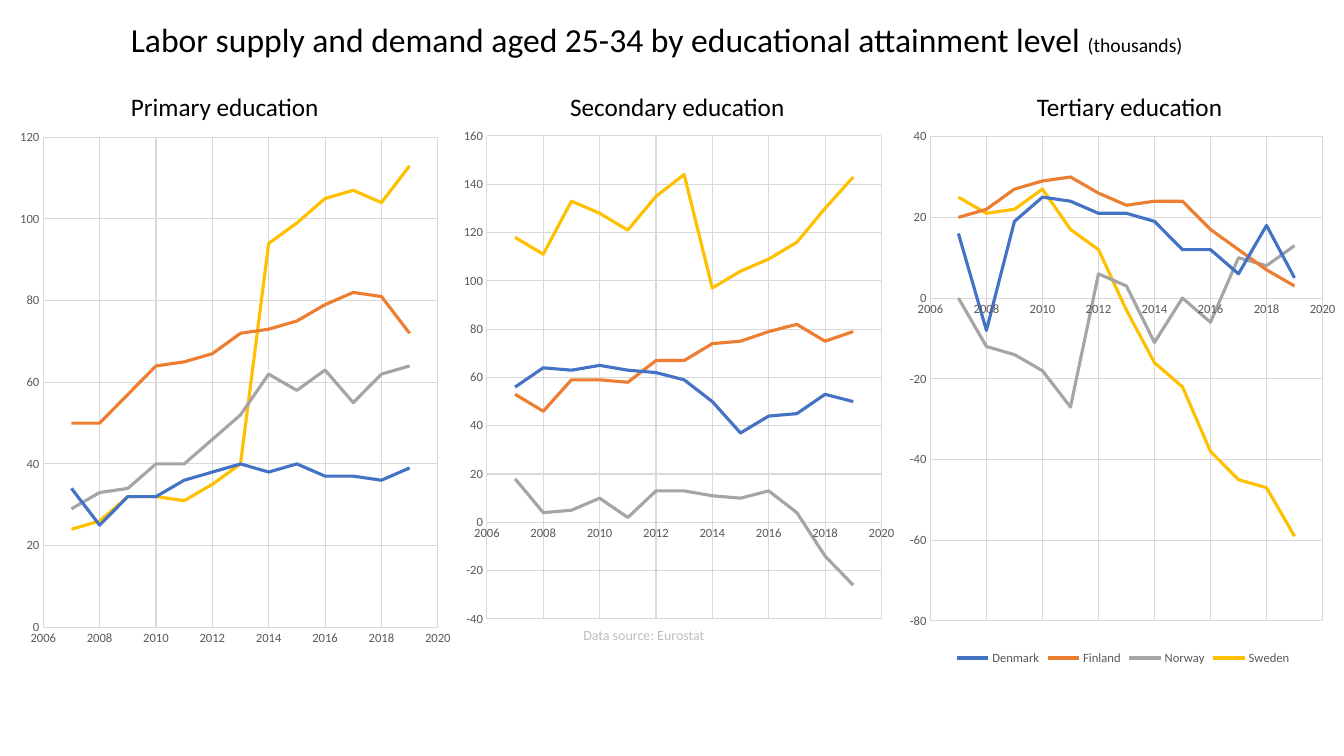
from lxml import etree
from pptx import Presentation
from pptx.chart.data import XyChartData
from pptx.dml.color import RGBColor
from pptx.enum.chart import XL_CHART_TYPE, XL_LEGEND_POSITION, XL_TICK_MARK
from pptx.oxml.ns import qn
from pptx.util import Cm, Pt

SCATTER = XL_CHART_TYPE.XY_SCATTER_SMOOTH_NO_MARKERS
BOTTOM = XL_LEGEND_POSITION.BOTTOM
NO_TICK = XL_TICK_MARK.NONE

THEME = {
    "font": "Calibri",
    "text": "000000", "axis": "595959", "grid": "D9D9D9", "source": "BFBFBF",
    "series": ["4472C4", "ED7D31", "A5A5A5", "FFC000"],
    "title": 24, "unit": 14, "heading": 18, "note": 10, "label": 9,
    "line": 2.25, "hairline": 0.75,
}

TITLE = "Labor supply and demand aged 25-34 by educational attainment level "
UNIT = "(thousands)"
SOURCE = "Data source: Eurostat"
YEARS = range(2007, 2020)
COUNTRIES = ["Denmark", "Finland", "Norway", "Sweden"]

PANELS = [
    {
        "heading": "Primary education", "heading_left": 3.05,
        "box": (0.3, 3.0, 11.3, 13.54), "plot": (0.07, 0.034, 0.88, 0.912),
        "scale": (0, 120), "legend": False,
        "values": [
            [34, 25, 32, 32, 36, 38, 40, 38, 40, 37, 37, 36, 39],
            [50, 50, 57, 64, 65, 67, 72, 73, 75, 79, 82, 81, 72],
            [29, 33, 34, 40, 40, 46, 52, 62, 58, 63, 55, 62, 64],
            [24, 26, 32, 32, 31, 35, 40, 94, 99, 105, 107, 104, 113],
        ],
    },
    {
        "heading": "Secondary education", "heading_left": 14.12,
        "box": (11.48, 2.97, 11.3, 13.06), "plot": (0.07, 0.035, 0.88, 0.932),
        "scale": (-40, 160), "legend": False,
        "values": [
            [56, 64, 63, 65, 63, 62, 59, 50, 37, 44, 45, 53, 50],
            [53, 46, 59, 59, 58, 67, 67, 74, 75, 79, 82, 75, 79],
            [18, 4, 5, 10, 2, 13, 13, 11, 10, 13, 4, -14, -26],
            [118, 111, 133, 128, 121, 135, 144, 97, 104, 109, 116, 130, 143],
        ],
    },
    {
        "heading": "Tertiary education", "heading_left": 25.88,
        "box": (22.71, 3.0, 11.18, 13.87), "plot": (0.066, 0.032, 0.884, 0.88),
        "scale": (-80, 40), "legend": True,
        "values": [
            [16, -8, 19, 25, 24, 21, 21, 19, 12, 12, 6, 18, 5],
            [20, 22, 27, 29, 30, 26, 23, 24, 24, 17, 12, 7, 3],
            [0, -12, -14, -18, -27, 6, 3, -11, 0, -6, 10, 8, 13],
            [25, 21, 22, 27, 17, 12, -3, -16, -22, -38, -45, -47, -59],
        ],
    },
]


def style_font(font, size, color):
    font.name = THEME["font"]
    font.size = Pt(THEME[size])
    font.color.rgb = RGBColor.from_string(THEME[color])


def style_line(line, color, width):
    line.color.rgb = RGBColor.from_string(color)
    line.width = Pt(width)


def add_text(s, box, runs, color="text"):
    tf = s.shapes.add_textbox(*map(Cm, box)).text_frame
    tf.word_wrap = True
    p = tf.paragraphs[0]
    for text, size in runs:
        r = p.add_run()
        r.text = text
        style_font(r.font, size, color)


def style_axis(axis, low, high, step):
    axis.minimum_scale, axis.maximum_scale, axis.major_unit = low, high, step
    axis.major_tick_mark = axis.minor_tick_mark = NO_TICK
    axis.has_major_gridlines = True
    style_line(axis.major_gridlines.format.line, THEME["grid"], THEME["hairline"])
    style_font(axis.tick_labels.font, "label", "axis")


def place_plot(chart, plot):
    area = chart.element.find(".//" + qn("c:plotArea"))
    layout = area.find(qn("c:layout"))
    if layout is None:
        layout = etree.Element(qn("c:layout"))
        area.insert(0, layout)
    manual = etree.SubElement(layout, qn("c:manualLayout"))
    settings = [("layoutTarget", "inner"), ("xMode", "edge"), ("yMode", "edge")]
    for tag, value in settings + list(zip("xywh", plot)):
        etree.SubElement(manual, qn("c:" + tag)).set("val", str(value))


def add_panel_chart(s, panel):
    data = XyChartData()
    for country, values in zip(COUNTRIES, panel["values"]):
        series = data.add_series(country)
        for year, value in zip(YEARS, values):
            series.add_data_point(year, value)
    chart = s.shapes.add_chart(SCATTER, *map(Cm, panel["box"]), data).chart
    style_font(chart.font, "note", "text")
    chart.has_title = False
    chart.has_legend = panel["legend"]
    if panel["legend"]:
        chart.legend.position = BOTTOM
        chart.legend.include_in_layout = False
        style_font(chart.legend.font, "label", "axis")
    style_axis(chart.category_axis, 2006, 2020, 2)
    style_line(chart.category_axis.format.line, THEME["grid"], THEME["hairline"])
    style_axis(chart.value_axis, *panel["scale"], 20)
    chart.value_axis.format.line.fill.background()
    for series, color in zip(chart.plots[0].series, THEME["series"]):
        style_line(series.format.line, color, THEME["line"])
        series.smooth = True
    place_plot(chart, panel["plot"])


def main():
    prs = Presentation()
    prs.slide_width, prs.slide_height = Cm(33.87), Cm(19.05)
    s = prs.slides.add_slide(prs.slide_layouts[6])
    for panel in PANELS:
        add_panel_chart(s, panel)
    add_text(s, (3.05, 0.36, 28.75, 1.27), [(TITLE, "title"), (UNIT, "unit")])
    for panel in PANELS:
        add_text(s, (panel["heading_left"], 2.18, 6.3, 1.02), [(panel["heading"], "heading")])
    add_text(s, (14.45, 15.67, 6.3, 0.69), [(SOURCE, "note")], "source")
    prs.save("out.pptx")


if __name__ == "__main__":
    main()
